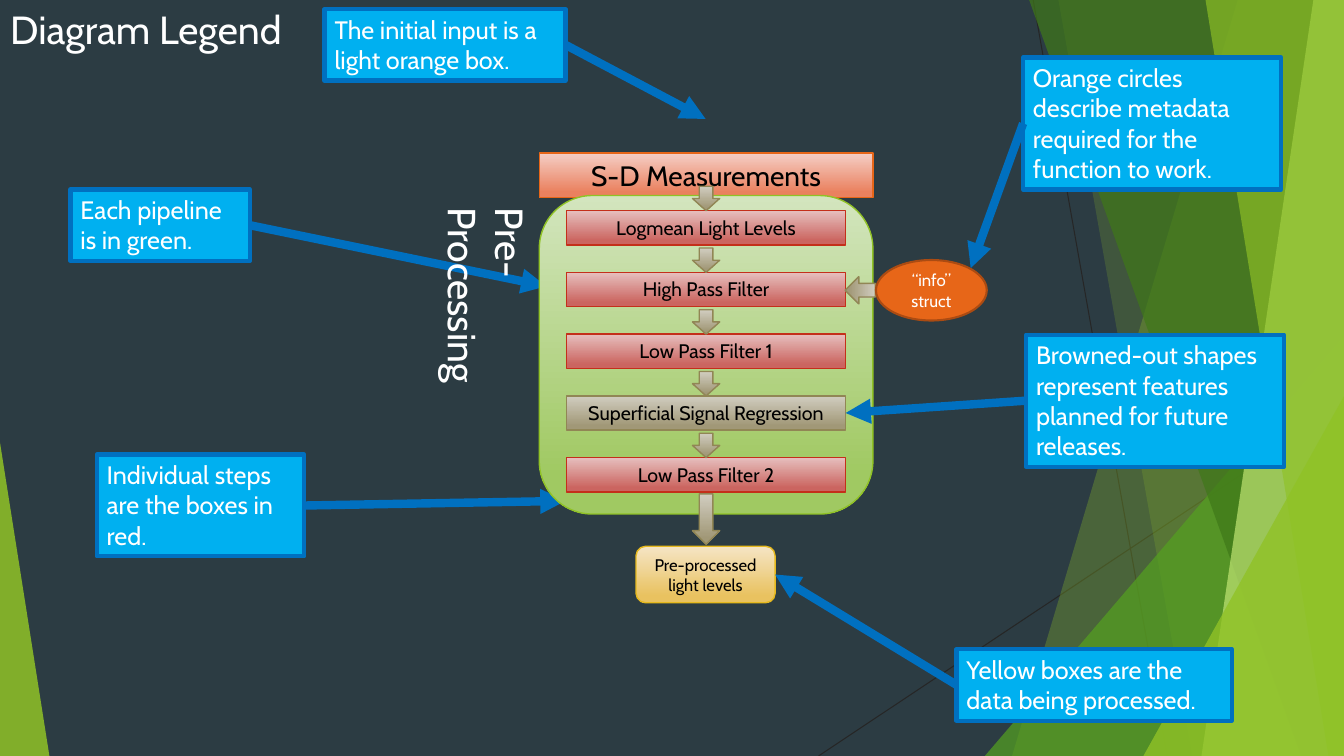
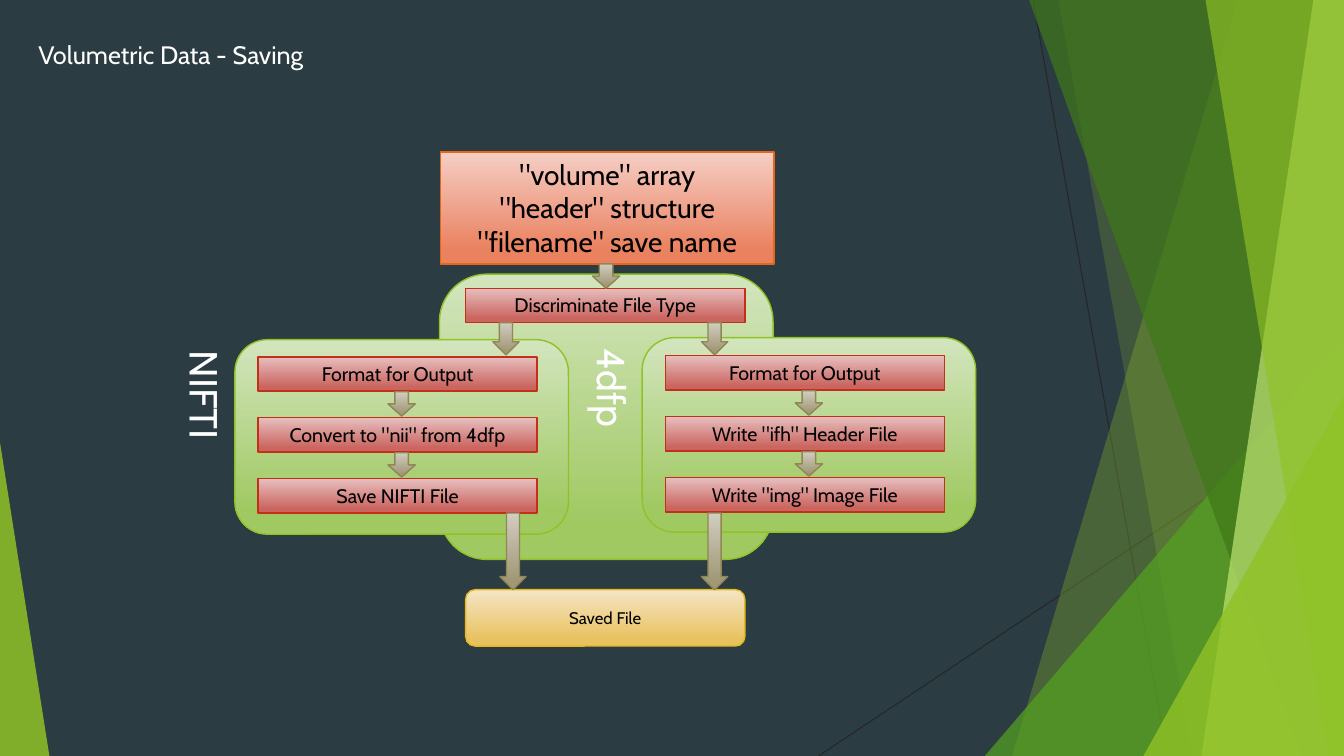
from dataclasses import dataclass
from typing import NamedTuple

from lxml import etree
from pptx import Presentation
from pptx.dml.color import RGBColor
from pptx.enum.shapes import MSO_CONNECTOR, MSO_SHAPE
from pptx.enum.text import MSO_ANCHOR, MSO_AUTO_SIZE, PP_ALIGN
from pptx.oxml.ns import qn
from pptx.shapes.autoshape import Shape
from pptx.shapes.connector import Connector
from pptx.slide import Slide
from pptx.util import Emu, Inches, Pt

# Grid: 160 columns by 90 rows of square cells
COLUMNS, ROWS = 160, 90
CELL = Inches(1) // 12

FONT = "Cabin"
RECTANGLE, ROUNDED = MSO_SHAPE.RECTANGLE, MSO_SHAPE.ROUNDED_RECTANGLE
ELLIPSE, DOWN_ARROW = MSO_SHAPE.OVAL, MSO_SHAPE.DOWN_ARROW
TRIANGLE = MSO_SHAPE.ISOSCELES_TRIANGLE
STRAIGHT = MSO_CONNECTOR.STRAIGHT
LEFT, CENTER = PP_ALIGN.LEFT, PP_ALIGN.CENTER
TOP, MIDDLE = MSO_ANCHOR.TOP, MSO_ANCHOR.MIDDLE
GROW, FIXED = MSO_AUTO_SIZE.SHAPE_TO_FIT_TEXT, MSO_AUTO_SIZE.NONE
LEFT_SIDE, RIGHT_SIDE = 1, 3

BLACK = RGBColor(0x00, 0x00, 0x00)
WHITE = RGBColor(0xFF, 0xFF, 0xFF)
SLATE = RGBColor(0x2C, 0x3C, 0x43)
CHARCOAL = RGBColor(0x26, 0x26, 0x26)
LIME = RGBColor(0x90, 0xC2, 0x26)
GREEN = RGBColor(0x54, 0xA0, 0x21)
FOREST = RGBColor(0x3F, 0x78, 0x19)
PALE_LIME = RGBColor(0xC0, 0xE4, 0x74)
SKY = RGBColor(0x00, 0xB0, 0xF0)
BLUE = RGBColor(0x00, 0x70, 0xC0)
ORANGE = RGBColor(0xE7, 0x66, 0x18)
RUST = RGBColor(0xAB, 0x4B, 0x12)


class Frame(NamedTuple):
    left: float
    top: float
    width: float
    height: float


class Point(NamedTuple):
    column: float
    row: float


class Look(NamedTuple):
    light: RGBColor
    dark: RGBColor
    line: RGBColor


class Facet(NamedTuple):
    """Background band from a slanted left edge to the right slide edge."""
    top_column: float
    bottom_column: float
    color: RGBColor
    opacity: int


class Wedge(NamedTuple):
    """Background triangle with its apex over the left (0) or right (1) corner."""
    frame: Frame
    apex: int
    color: RGBColor
    opacity: int


@dataclass
class Callout:
    text: str
    frame: Frame
    side: int
    tip: Point | None = None


@dataclass
class Steps:
    """A column of equally spaced step boxes with arrows between them."""
    labels: list[str]
    left: float
    top: float
    pitch: float = 7.35
    arrow_shift: float = 0
    arrow_lift: float = 0
    entry_arrow: bool = True


INPUT = Look(RGBColor(0xF5, 0xCE, 0xC5), RGBColor(0xEA, 0x81, 0x5F), ORANGE)
PIPELINE = Look(RGBColor(0xD3, 0xE5, 0xBE), RGBColor(0xA0, 0xC9, 0x62), LIME)
STEP = Look(RGBColor(0xE6, 0xBF, 0xBE), RGBColor(0xCB, 0x65, 0x60), RGBColor(0xC4, 0x2F, 0x1A))
PLANNED = Look(RGBColor(0xD1, 0xCD, 0xC0), RGBColor(0xA1, 0x98, 0x77), RGBColor(0x91, 0x86, 0x55))
DATA = Look(RGBColor(0xF5, 0xE5, 0xC5), RGBColor(0xE9, 0xC2, 0x60), RGBColor(0xE6, 0xB9, 0x1E))

PANEL_WIDTH = 39.72
STEP_WIDTH, STEP_HEIGHT = 33.24, 4.08
ARROW_WIDTH, ARROW_HEIGHT = 3.24, 2.9
DATA_HEIGHT, LABEL_WIDTH = 6.72, 8.04
PLANNED_STEP = "Superficial Signal Regression"

BACKDROP_LINES = [
    (Point(123, 0), Point(138.96, ROWS)),
    (Point(COLUMNS, 48.36), Point(97.44, ROWS)),
]
BACKDROP = [
    Facet(147.36, 120.48, LIME, 30),
    Facet(126, 141.96, LIME, 20),
    Wedge(Frame(117.24, 40, 42.76, 50), 1, GREEN, 72),
    Facet(122.52, 154.92, FOREST, 70),
    Facet(156.36, 143.04, PALE_LIME, 70),
    Facet(143.52, 158.16, LIME, 65),
    Wedge(Frame(136.12, 47.16, 23.88, 42.84), 1, LIME, 80),
    Wedge(Frame(0, 52.68, 5.88, 37.32), 0, LIME, 85),
]
CALLOUTS = [
    Callout("Orange circles describe metadata required for the function to work.",
            Frame(121.8, 6.84, 30.72, 15.72), LEFT_SIDE, Point(115.56, 31.92)),
    Callout("Each pipeline is in green.",
            Frame(8.4, 22.56, 21.36, 8.52), RIGHT_SIDE, Point(65.04, 34.08)),
    Callout("Individual steps are the boxes in red.",
            Frame(11.52, 54.12, 24.72, 12.12), RIGHT_SIDE, Point(67.32, 59.64)),
    Callout("The initial input is a light orange box.",
            Frame(38.64, 1.08, 28.68, 8.52), RIGHT_SIDE, Point(84, 14.16)),
]
DATA_CALLOUT = Callout("Yellow boxes are the data being processed.",
                       Frame(113.88, 77.28, 32.76, 8.52), LEFT_SIDE)
PLANNED_CALLOUT = Callout("Browned-out shapes represent features planned for future releases.",
                          Frame(122.16, 39.84, 30.72, 15.72), LEFT_SIDE)


def cells(count: float) -> Emu:
    return Emu(round(count * CELL))


# Basic elements
def write(shape: Shape, text: str, size: float, color: RGBColor,
          align: PP_ALIGN = CENTER, anchor: MSO_ANCHOR = TOP,
          auto_size: MSO_AUTO_SIZE = GROW) -> None:
    frame = shape.text_frame
    frame.text = text
    frame.word_wrap = True
    frame.auto_size = auto_size
    frame.vertical_anchor = anchor
    for paragraph in frame.paragraphs:
        paragraph.alignment = align
        for run in paragraph.runs:
            run.font.name, run.font.size = FONT, Pt(size)
            run.font.color.rgb = color


def add_plain(slide: Slide, kind: MSO_SHAPE, frame: Frame, fill: RGBColor,
              line: RGBColor, width: float) -> Shape:
    shape = slide.shapes.add_shape(kind, *map(cells, frame))
    shape.shadow.inherit = False
    shape.fill.solid()
    shape.fill.fore_color.rgb = fill
    shape.line.color.rgb, shape.line.width = line, Pt(width)
    return shape


def add_gradient(slide: Slide, kind: MSO_SHAPE, frame: Frame, look: Look) -> Shape:
    shape = add_plain(slide, kind, frame, look.light, look.line, 1)
    shape.fill.gradient()
    shape.fill.gradient_angle = 270
    for stop, color, position in zip(shape.fill.gradient_stops, look[:2], (0, 0.88)):
        stop.color.rgb, stop.position = color, position
    return shape


def add_line(slide: Slide, start: Point, end: Point, color: RGBColor, width: float) -> Connector:
    line = slide.shapes.add_connector(STRAIGHT, *map(cells, (*start, *end)))
    line.line.color.rgb, line.line.width = color, Pt(width)
    etree.SubElement(line.element.spPr, qn("a:effectLst"))
    return line


# Shared theme parts
def add_backdrop(slide: Slide) -> None:
    """Draw the backdrop, then hand it to the slide master."""
    parts = [add_line(slide, start, end, CHARCOAL, 0.75) for start, end in BACKDROP_LINES]
    for item in BACKDROP:
        if isinstance(item, Wedge):
            shape = slide.shapes.add_shape(TRIANGLE, *map(cells, item.frame))
            shape.adjustments[0] = item.apex
        else:
            builder = slide.shapes.build_freeform(cells(item.top_column), 0)
            corners = [(COLUMNS, 0), (COLUMNS, ROWS), (item.bottom_column, ROWS)]
            builder.add_line_segments([(cells(x), cells(y)) for x, y in corners])
            shape = builder.convert_to_shape()
        shape.shadow.inherit = False
        shape.line.fill.background()
        shape.fill.solid()
        shape.fill.fore_color.rgb = item.color
        color = shape.element.spPr.find(".//" + qn("a:srgbClr"))
        etree.SubElement(color, qn("a:alpha"), val=str(item.opacity * 1000))
        parts.append(shape)
    master = slide.slide_layout.slide_master
    master.background.fill.solid()
    master.background.fill.fore_color.rgb = SLATE
    for index, part in enumerate(parts):
        part.element.xpath(".//p:cNvPr")[0].set("id", str(100 + index))
        master.shapes.element.insert(2 + index, part.element)


def set_title(slide: Slide, text: str, frame: Frame, size: float) -> None:
    title = slide.shapes.title
    title.left, title.top, title.width, title.height = map(cells, frame)
    write(title, text, size, WHITE, LEFT, auto_size=FIXED)


# Diagram parts
def add_arrow(slide: Slide, frame: Frame) -> Shape:
    return add_gradient(slide, DOWN_ARROW, frame, PLANNED)


def add_input(slide: Slide, text: str, frame: Frame) -> None:
    write(add_gradient(slide, RECTANGLE, frame, INPUT), text, 20, BLACK)


def add_data(slide: Slide, text: str, frame: Frame) -> Shape:
    shape = add_gradient(slide, ROUNDED, frame, DATA)
    write(shape, text, 12, BLACK, anchor=MIDDLE, auto_size=FIXED)
    return shape


def add_vertical_label(slide: Slide, text: str, frame: Frame) -> None:
    box = slide.shapes.add_textbox(*map(cells, frame))
    write(box, text, 28, WHITE, LEFT)
    box.element.txBody.bodyPr.set("vert", "vert")


def add_steps(slide: Slide, steps: Steps) -> dict[str, Shape]:
    boxes = {}
    arrow_left = steps.left + (STEP_WIDTH - ARROW_WIDTH) / 2 + steps.arrow_shift
    for index, label in enumerate(steps.labels):
        top = steps.top + index * steps.pitch
        look = PLANNED if label == PLANNED_STEP else STEP
        box = add_gradient(slide, RECTANGLE, Frame(steps.left, top, STEP_WIDTH, STEP_HEIGHT), look)
        write(box, label, 14, BLACK)
        boxes[label] = box
        if index or steps.entry_arrow:
            arrow_top = top - ARROW_HEIGHT - steps.arrow_lift
            add_arrow(slide, Frame(arrow_left, arrow_top, ARROW_WIDTH, ARROW_HEIGHT))
    return boxes


def add_callout(slide: Slide, callout: Callout, target: Shape | None = None) -> None:
    box = add_plain(slide, RECTANGLE, callout.frame, SKY, BLUE, 3)
    write(box, callout.text, 18, WHITE, LEFT)
    tip = callout.tip or Point(0, 0)
    pointer = add_line(slide, tip, tip, BLUE, 6)
    pointer.begin_connect(box, callout.side)
    if target is not None:
        pointer.end_connect(target, RIGHT_SIDE)
    etree.SubElement(pointer.line._get_or_add_ln(), qn("a:tailEnd"), type="triangle")


# Slides
def build_legend(slide: Slide) -> None:
    set_title(slide, "Diagram Legend", Frame(0, 0, 36.24, 6.84), 28)
    for callout in CALLOUTS:
        add_callout(slide, callout)
    add_input(slide, "S-D Measurements", Frame(64.2, 18.24, PANEL_WIDTH, 5.28))
    add_gradient(slide, ROUNDED, Frame(64.2, 23.28, PANEL_WIDTH, 37.92), PIPELINE)
    boxes = add_steps(slide, Steps(
        ["Logmean Light Levels", "High Pass Filter", "Low Pass Filter 1",
         PLANNED_STEP, "Low Pass Filter 2"], 67.44, 25.08))
    add_vertical_label(slide, "Pre-Processing", Frame(56.16, 23.52, LABEL_WIDTH, 31.56))
    data = add_data(slide, "Pre-processed light levels", Frame(75.72, 65.04, 16.56, DATA_HEIGHT))
    add_arrow(slide, Frame(82.44, 58.8, ARROW_WIDTH, 6))
    add_arrow(slide, Frame(100.8, 32.76, ARROW_WIDTH, 3.6)).rotation = 90
    info = add_plain(slide, ELLIPSE, Frame(104.28, 30.96, 13.2, 7.2), ORANGE, RUST, 1.5)
    write(info, "“info” struct", 12, WHITE, anchor=MIDDLE, auto_size=FIXED)
    add_callout(slide, DATA_CALLOUT, data)
    add_callout(slide, PLANNED_CALLOUT, boxes[PLANNED_STEP])


def build_saving(slide: Slide) -> None:
    set_title(slide, "Volumetric Data - Saving", Frame(3.36, 4.08, 35.76, 4.8), 18)
    for left, top, height in ((52.32, 32.64, 33.96), (27.96, 40.44, 23.16), (76.44, 40.2, 23.16)):
        add_gradient(slide, ROUNDED, Frame(left, top, PANEL_WIDTH, height), PIPELINE)
    add_input(slide, '"volume" array\n"header" structure\n"filename" save name',
              Frame(52.44, 18.12, PANEL_WIDTH, 13.32))
    add_steps(slide, Steps(["Discriminate File Type"], 55.44, 34.32, arrow_shift=0.1))
    for labels, left, top in (
        (["Format for Output", 'Convert to "nii" from 4dfp', "Save NIFTI File"], 30.72, 42.48),
        (["Format for Output", 'Write "ifh" Header File', 'Write "img" Image File'], 79.2, 42.36),
    ):
        add_steps(slide, Steps(labels, left, top, 7.26, 0.48, 0.2, False))
    add_data(slide, "Saved File", Frame(55.44, 70.2, STEP_WIDTH, DATA_HEIGHT))
    for fork_left, exit_left in ((58.68, 59.52), (83.52, 83.52)):
        add_arrow(slide, Frame(fork_left, 38.4, 3.12, 3.84))
        add_arrow(slide, Frame(exit_left, 61.08, 3.12, 9.12))
    for text, left, top in (("4dfp", 68.28, 40.32), ("NIFTI", 19.8, 40.56)):
        add_vertical_label(slide, text, Frame(left, top, LABEL_WIDTH, 23.04))


def main() -> None:
    presentation = Presentation()
    presentation.slide_width, presentation.slide_height = cells(COLUMNS), cells(ROWS)
    title_only = presentation.slide_layouts[5]
    legend, saving = (presentation.slides.add_slide(title_only) for _ in range(2))
    add_backdrop(legend)
    build_legend(legend)
    build_saving(saving)
    presentation.save("out.pptx")


if __name__ == "__main__":
    main()
